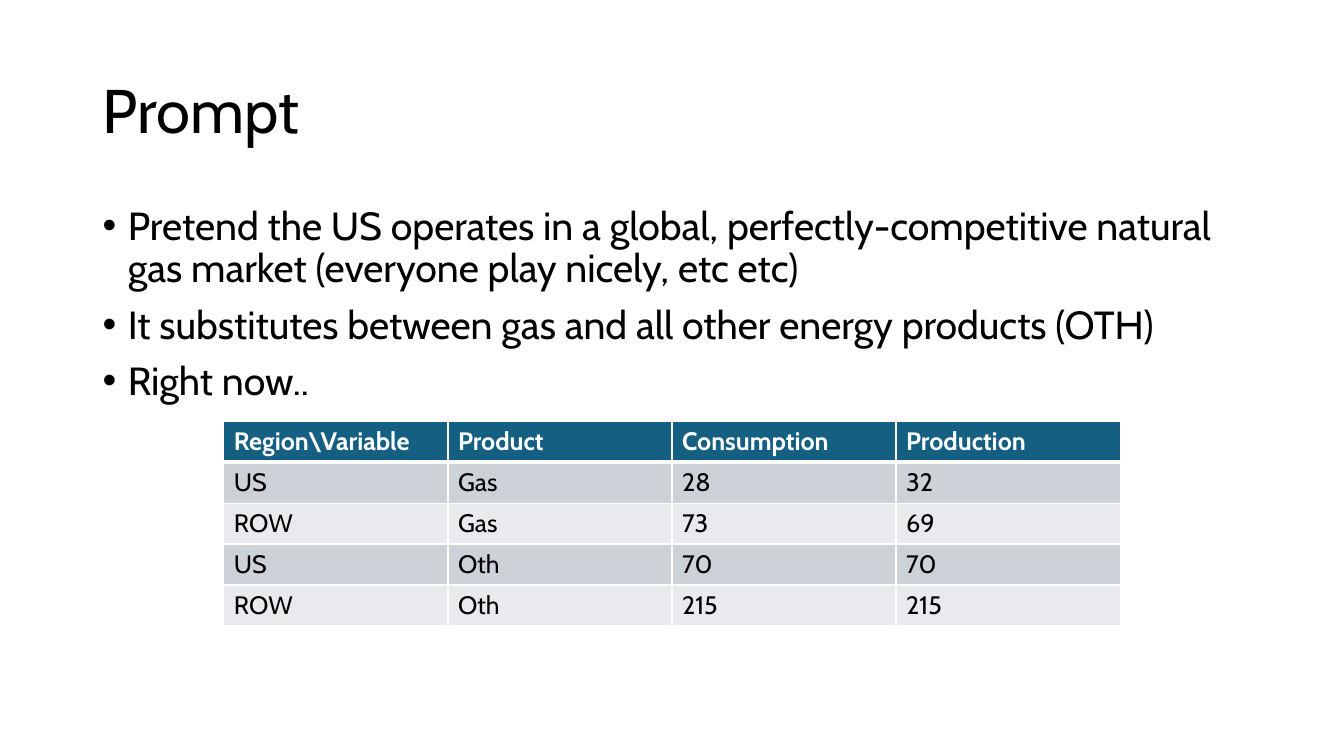
"""Build the Prompt slide with its bullets and the gas market table."""
from dataclasses import dataclass

from lxml import etree
from pptx import Presentation
from pptx.dml.color import RGBColor
from pptx.enum.text import MSO_ANCHOR
from pptx.oxml.ns import qn
from pptx.util import Inches, Pt

TOP, MIDDLE = MSO_ANCHOR.TOP, MSO_ANCHOR.MIDDLE
BLACK = RGBColor(0x00, 0x00, 0x00)
WHITE = RGBColor(0xFF, 0xFF, 0xFF)
TEAL = RGBColor(0x15, 0x60, 0x82)
BAND_DARK = RGBColor(0xCC, 0xD2, 0xD8)
BAND_LIGHT = RGBColor(0xE8, 0xEA, 0xED)
FONT = "Cabin"


@dataclass(frozen=True)
class TextBlock:
    top: float
    height: float
    lines: tuple[str, ...]
    size: float
    anchor: MSO_ANCHOR = TOP
    bullet: bool = False


BLOCKS = (
    TextBlock(0.4, 1.45, ("Prompt",), 44, anchor=MIDDLE),
    TextBlock(2, 4.76, (
        "Pretend the US operates in a global, perfectly-competitive natural "
        "gas market (everyone play nicely, etc etc)",
        "It substitutes between gas and all other energy products (OTH)",
        "Right now..",
    ), 28, bullet=True),
)
ROWS = (
    ("Region\\Variable", "Product", "Consumption", "Production"),
    ("US", "Gas", "28", "32"),
    ("ROW", "Gas", "73", "69"),
    ("US", "Oth", "70", "70"),
    ("ROW", "Oth", "215", "215"),
)


def write(p, text: str, *, size: float, color: RGBColor = BLACK,
          bold: bool = False, spacing: float = 1, before: float = 0,
          bullet: bool = False) -> None:
    if bullet:
        pPr = p._p.get_or_add_pPr()
        pPr.set("marL", str(Inches(0.25)))
        pPr.set("indent", str(-Inches(0.25)))
        etree.SubElement(pPr, qn("a:buFont"), typeface="Arial")
        etree.SubElement(pPr, qn("a:buChar"), char="•")
    p.line_spacing = spacing
    p.space_before = Pt(before)
    r = p.add_run()
    r.text = text
    r.font.name = FONT
    r.font.size = Pt(size)
    r.font.bold = bold
    r.font.color.rgb = color


def add_block(slide, block: TextBlock) -> None:
    sp = slide.shapes.add_textbox(
        Inches(0.92), Inches(block.top), Inches(11.5), Inches(block.height))
    tf = sp.text_frame
    tf.word_wrap = True
    tf.vertical_anchor = block.anchor
    for i, line in enumerate(block.lines):
        p = tf.add_paragraph() if i else tf.paragraphs[0]
        write(p, line, size=block.size, spacing=0.9,
              before=10 if i else 0, bullet=block.bullet)


def set_borders(cell, top: float, bottom: float) -> None:
    tcPr = cell._tc.get_or_add_tcPr()
    widths = {"a:lnL": 1, "a:lnR": 1, "a:lnT": top, "a:lnB": bottom}
    for tag, width in widths.items():
        ln = etree.SubElement(tcPr, qn(tag), w=str(Pt(width)))
        fill = etree.SubElement(ln, qn("a:solidFill"))
        etree.SubElement(fill, qn("a:srgbClr"), val=str(WHITE))


def add_market_table(slide) -> None:
    table = slide.shapes.add_table(
        len(ROWS), len(ROWS[0]), Inches(2.22), Inches(4.18),
        Inches(8.89), Inches(2.03)).table
    for i, row in enumerate(ROWS):
        header = i == 0
        band = TEAL if header else BAND_DARK if i % 2 else BAND_LIGHT
        for j, text in enumerate(row):
            cell = table.cell(i, j)
            set_borders(cell, top=3 if i == 1 else 1, bottom=3 if header else 1)
            cell.fill.solid()
            cell.fill.fore_color.rgb = band
            write(cell.text_frame.paragraphs[0], text, size=18,
                  color=WHITE if header else BLACK, bold=header)


def main() -> None:
    prs = Presentation()
    prs.slide_width, prs.slide_height = Inches(13.33), Inches(7.5)
    slide = prs.slides.add_slide(prs.slide_layouts[6])
    for block in BLOCKS:
        add_block(slide, block)
    add_market_table(slide)
    prs.save("out.pptx")


if __name__ == "__main__":
    main()
